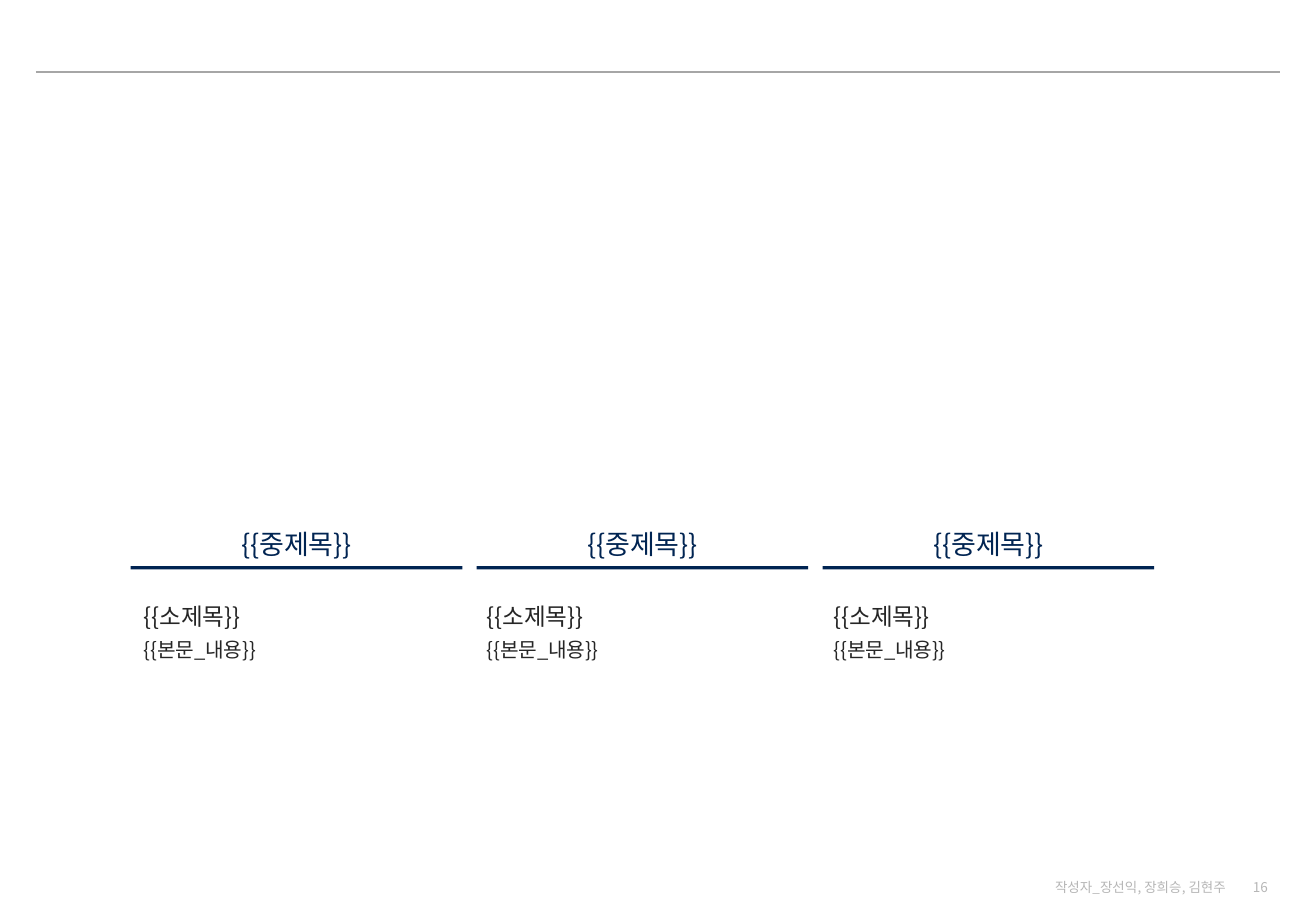
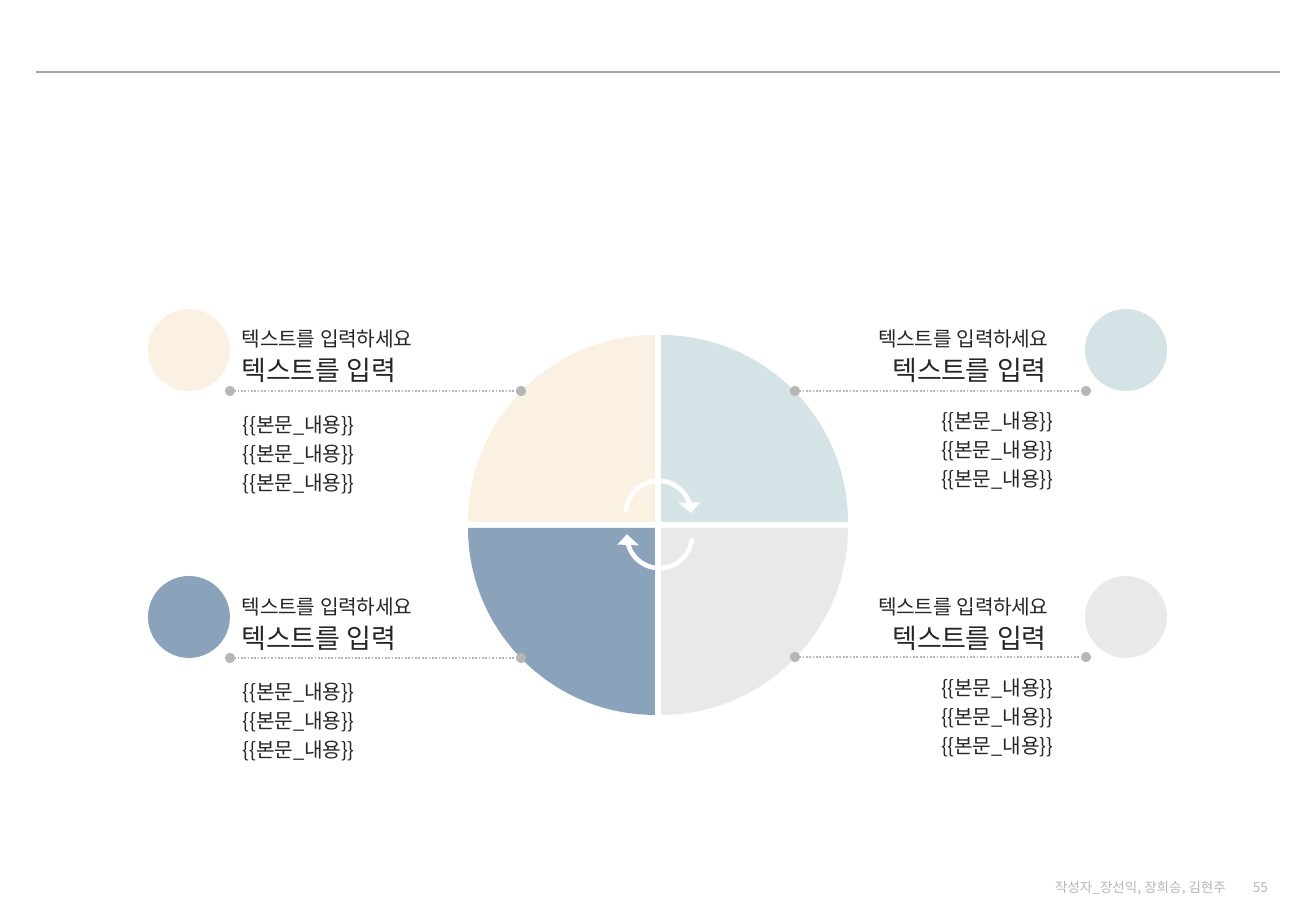
from pptx import Presentation
from pptx.dml.color import RGBColor
from pptx.enum.dml import MSO_LINE as Dash
from pptx.enum.shapes import MSO_CONNECTOR as Conn, MSO_SHAPE as Kind
from pptx.enum.text import MSO_ANCHOR as Anchor, PP_ALIGN as Align
from pptx.oxml.ns import qn
from pptx.oxml.xmlchemy import OxmlElement as Node
from pptx.util import Pt

PX = 7526  # EMU in one px
FONT = "Noto Sans CJK KR"
NAVY, INK, GREY, RULE, WHITE = "002452", "262626", "B6B6B6", "A6A6A6", "FFFFFF"
CREAM, MINT, BLUE, PALE = "FBF1E2", "D4E3E5", "8BA2BB", "E9E9E9"


def paint(part, color):
    """Fill a shape, font or line with one hex colour."""
    fill = part.fill
    fill.solid()
    fill.fore_color.rgb = RGBColor.from_string(color)


def write(box, *lines, color=INK, align=Align.LEFT, anchor=Anchor.TOP,
          gap=1.0, tight=-20):
    """Write (text, size) lines into a shape."""
    frame = box.text_frame
    frame.word_wrap = True
    frame.vertical_anchor = anchor
    for i, (text, size) in enumerate(lines):
        par = frame.add_paragraph() if i else frame.paragraphs[0]
        par.alignment, par.line_spacing = align, gap
        run = par.add_run()
        run.text = text
        run.font.size, run.font.name = Pt(size), FONT
        paint(run.font, color)
        props = run.font._element
        props.set("lang", "ko-KR")
        props.set("spc", str(tight))
        east = Node("a:ea")
        east.set("typeface", FONT)
        props.find(qn("a:latin")).addnext(east)


deck = Presentation()
deck.slide_width, deck.slide_height = 1316 * PX, 911 * PX
base = deck.slide_layouts[6]
cols, cycle = [deck.slides.add_slide(base).shapes for _ in range(2)]

# Shared rule, held by the layout
rule = cols.add_connector(Conn.STRAIGHT, 36 * PX, 72 * PX, 1280 * PX, 72 * PX)
paint(rule.line, RULE)
rule.line.width = Pt(0.75)
rule.element.spPr.append(Node("a:effectLst"))
base.shapes.element.append(rule.element)

# Footers
for page, number in ((cols, "16"), (cycle, "55")):
    for text, x, w in ((number, 1231, 49), ("작성자_장선익, 장희승, 김현주", 1035, 203)):
        foot = page.add_textbox(x * PX, 877 * PX, w * PX, 20 * PX)
        write(foot, (text, 8), color=GREY, align=Align.RIGHT,
              anchor=Anchor.MIDDLE, tight=0)

# Three columns, each headed by a bar with a hard lower shadow
for i, left in enumerate((132, 475, 822)):
    head = cols.add_shape(Kind.RECTANGLE, (129 + 346 * i) * PX, 521 * PX,
                          335 * PX, 45 * PX)
    paint(head, WHITE)
    head.line.fill.background()
    head.shadow.inherit = False
    shade = Node("a:outerShdw")
    for key, val in (("dist", "25400"), ("dir", "5400000"), ("sx", "99000"),
                     ("algn", "t"), ("rotWithShape", "0")):
        shade.set(key, val)
    tint = Node("a:srgbClr")
    tint.set("val", NAVY)
    shade.append(tint)
    head.element.spPr.find(qn("a:effectLst")).append(shade)
    write(head, ("{{중제목}}", 16), color=NAVY, align=Align.CENTER,
          anchor=Anchor.BOTTOM)
    body = cols.add_textbox(left * PX, 587 * PX, 335 * PX, 233 * PX)
    write(body, ("{{소제목}}", 14), ("{{본문_내용}}", 12), gap=1.3)

# Quarter discs round one centre: corner, straight side, one curve
MID_X, MID_Y, RAD, GAP, BEND = 658, 525, 190, 3, 106
for dx, dy, color in ((-1, -1, CREAM), (1, -1, MINT), (-1, 1, BLUE), (1, 1, PALE)):
    spots = [((MID_X + dx * x) * PX, (MID_Y + dy * y) * PX) for x, y in (
        (GAP, GAP), (RAD, GAP), (RAD, BEND), (BEND, RAD), (GAP, RAD))]
    pen = cycle.build_freeform(*spots[0])
    pen.add_line_segments(spots[1:], close=True)
    wedge = pen.convert_to_shape()
    sides = list(wedge.element.iter(qn("a:lnTo")))[1:4]
    curve = Node("a:cubicBezTo")
    sides[0].addprevious(curve)
    for side in sides:
        curve.append(side[0])
        side.getparent().remove(side)
    paint(wedge, color)
    wedge.line.fill.background()
    wedge.shadow.inherit = False

# Turning arrows
for x, y, turn in ((615, 470, 0), (616, 492, 182.9)):
    arrow = cycle.add_shape(Kind.CIRCULAR_ARROW, x * PX, y * PX, 87 * PX, 87 * PX)
    for i, val in enumerate((0.054, 11.423, 204.142, 109.513, 0.125)):
        arrow.adjustments[i] = val
    arrow.rotation = turn
    paint(arrow, WHITE)
    arrow.line.fill.background()
    arrow.shadow.inherit = False

# Callouts: dot x, line x and step, tag x and width, list x, width and top
LEFT = (148, 230, 267, 230, 290, 231, 213, 401, Align.LEFT, "")
RIGHT = (1085, 795, 266, 795, 271, 829, 236, 397, Align.RIGHT, " ")
for spec_row, colors in ((LEFT, (CREAM, BLUE)), (RIGHT, (MINT, PALE))):
    dot_x, line_x, step, tag_x, tag_w, list_x, list_w, list_y, align, tail = spec_row
    for row, color in enumerate(colors):
        dot = cycle.add_shape(Kind.OVAL, dot_x * PX, (309 + 267 * row) * PX,
                              82 * PX, 82 * PX)
        paint(dot, color)
        dot.line.fill.background()
        dot.shadow.inherit = False

        y = (391 + step * row) * PX
        line = cycle.add_connector(Conn.STRAIGHT, line_x * PX, y,
                                   (line_x + 291) * PX, y)
        paint(line.line, GREY)
        line.line.width = Pt(1)
        line.line.dash_style = Dash.ROUND_DOT
        for end in ("a:headEnd", "a:tailEnd"):
            tip = Node(end)
            tip.set("type", "oval")
            line.element.spPr.find(qn("a:ln")).append(tip)
        line.element.spPr.append(Node("a:effectLst"))

        for x, top, w, h, lines in (
            (tag_x, 341 + 268 * row, tag_w, 51, [("텍스트를 입력" + tail, 16)]),
            (tag_x, 315 + 268 * row, tag_w, 41, [("텍스트를 입력하세요" + tail, 12)]),
            (list_x, list_y + 267 * row, list_w, 100, [("{{본문_내용}}", 12)] * 3),
        ):
            box = cycle.add_textbox(x * PX, top * PX, w * PX, h * PX)
            write(box, *lines, align=align, gap=1.2)

deck.save("out.pptx")
